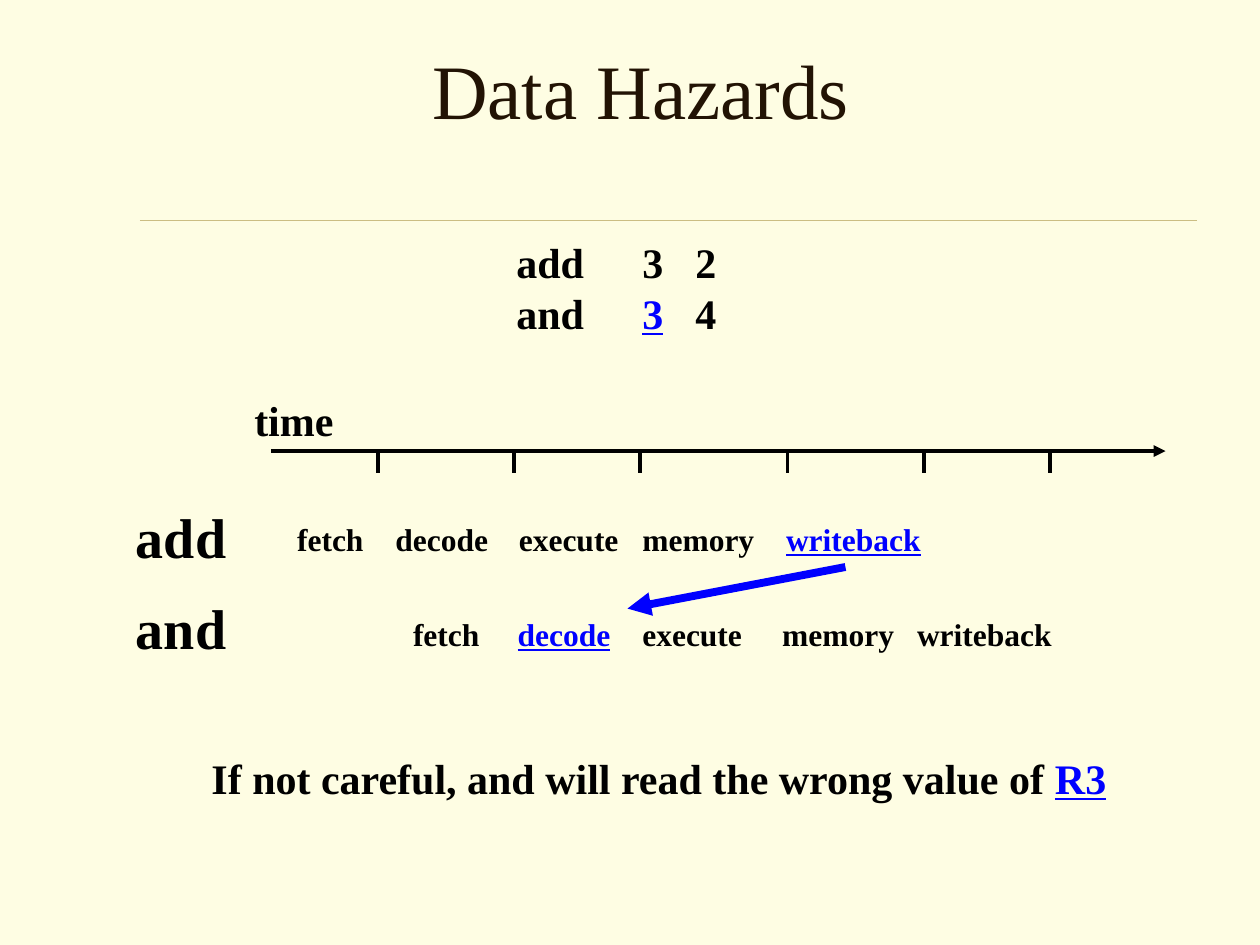
"""Build the Data Hazards slide with its pipeline timeline."""
from lxml import etree
from pptx import Presentation
from pptx.dml.color import RGBColor
from pptx.enum import shapes, text
from pptx.oxml import ns
from pptx.util import Inches, Pt

COLORS = {
    "background": "FEFDE3",
    "rule": "CBBD83",
    "title": "221304",
    "ink": "000000",
    "highlight": "0000FF",
}
FONT = "Times New Roman"


def add_text(slide, lines, left, top, width, height, size=24, color="ink",
             bold=True, align=text.PP_ALIGN.LEFT, anchor=text.MSO_ANCHOR.TOP,
             wrap=False, tabs=()):
    """Add a text box; parts between underscores are highlighted."""
    shape = slide.shapes.add_textbox(Inches(left), Inches(top), Inches(width), Inches(height))
    frame = shape.text_frame
    frame.word_wrap = wrap
    frame.auto_size = text.MSO_AUTO_SIZE.NONE if wrap else text.MSO_AUTO_SIZE.SHAPE_TO_FIT_TEXT
    frame.vertical_anchor = anchor
    for index, line in enumerate(lines):
        paragraph = frame.paragraphs[0] if index == 0 else frame.add_paragraph()
        paragraph.alignment = align
        if tabs:
            properties = paragraph._p.get_or_add_pPr()
            tab_list = etree.SubElement(properties, ns.qn("a:tabLst"))
            for position in tabs:
                etree.SubElement(tab_list, ns.qn("a:tab"), pos=str(Inches(position)), algn="l")
        for part, words in enumerate(line.split("_")):
            if not words:
                continue
            highlighted = part % 2 == 1
            run = paragraph.add_run()
            run.text = words
            run.font.name = FONT
            run.font.size = Pt(size)
            run.font.bold = bold
            run.font.underline = highlighted
            run.font.color.rgb = RGBColor.from_string(COLORS["highlight" if highlighted else color])


def add_line(slide, start, end, color="ink", width=2.25, arrow=False):
    """Add a straight line, with an arrowhead at its end if asked."""
    points = [Inches(value) for value in (*start, *end)]
    connector = slide.shapes.add_connector(shapes.MSO_CONNECTOR.STRAIGHT, *points)
    connector.line.color.rgb = RGBColor.from_string(COLORS[color])
    connector.line.width = Pt(width)
    if arrow:
        etree.SubElement(connector.line._get_or_add_ln(), ns.qn("a:tailEnd"), type="triangle")
    etree.SubElement(connector._element.spPr, ns.qn("a:effectLst"))


presentation = Presentation()
presentation.slide_width = Inches(10)
presentation.slide_height = Inches(7.5)
slide = presentation.slides.add_slide(presentation.slide_layouts[6])
slide.background.fill.solid()
slide.background.fill.fore_color.rgb = RGBColor.from_string(COLORS["background"])

add_line(slide, (1.11, 1.75), (9.5, 1.75), color="rule", width=0.25)
add_text(slide, ["Data Hazards"], 0.92, 0.08, 8.33, 1.25, size=44, color="title", bold=False,
         align=text.PP_ALIGN.CENTER, anchor=text.MSO_ANCHOR.MIDDLE, wrap=True)
add_text(slide, ["add\t3\t2", "and\t_3_\t4"], 4, 1.83, 1.86, 0.9, tabs=(1, 1.42))

add_line(slide, (2.15, 3.58), (9.25, 3.58), arrow=True)
add_text(slide, ["time"], 1.92, 3.08, 0.83, 0.5)
for tick in (3, 4.08, 5.08, 6.25, 7.33, 8.33):
    add_line(slide, (tick, 3.58), (tick, 3.75))

add_text(slide, ["fetch\tdecode\texecute\tmemory\t_writeback_"], 2.26, 4.08, 5.15, 0.4,
         size=18, tabs=(0.78, 1.76, 2.74, 3.88))
add_text(slide, ["fetch\t_decode_\texecute\tmemory\twriteback"], 3.18, 4.83, 5.27, 0.4,
         size=18, tabs=(0.83, 1.82, 2.93, 4))
for instruction, top in (("add", 3.94), ("and", 4.66)):
    add_text(slide, [instruction], 0.98, top, 0.95, 0.64, size=32)

add_text(slide, ["If not careful, and will read the wrong value of _R3_"], 1.58, 5.92, 7.32, 0.5)
add_line(slide, (6.71, 4.5), (4.98, 4.83), color="highlight", width=4.5, arrow=True)

presentation.save("out.pptx")
